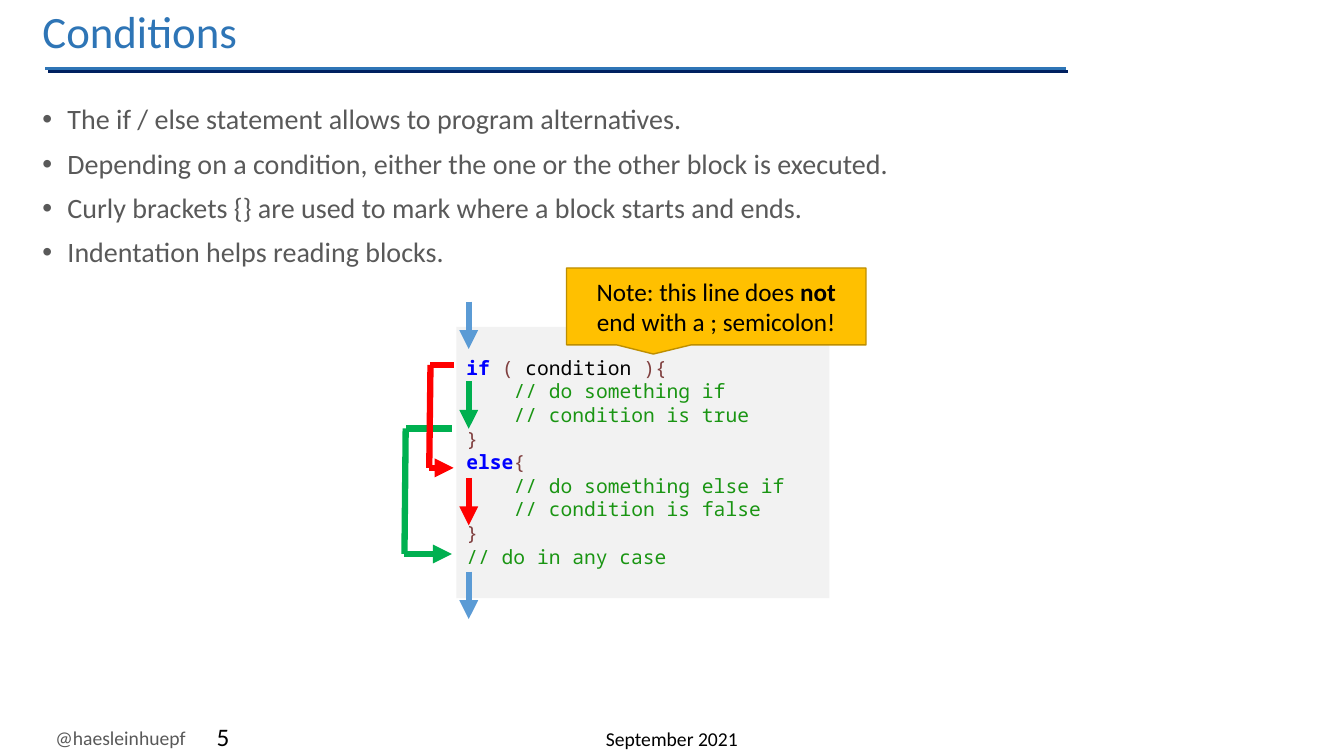
import dataclasses
import typing

import lxml.etree
import pptx
import pptx.dml.color
import pptx.enum.shapes
import pptx.enum.text
import pptx.oxml.ns
import pptx.util

COLUMNS, ROWS = 160, 90
GREY, BLACK, TITLE_BLUE, NAVY = "595959", "000000", "2E75B6", "002060"
FLOW_BLUE, TRUE_GREEN, FALSE_RED = "5B9BD5", "00B050", "FF0000"
KEYWORD, BRACKET, COMMENT = "0000FF", "804040", "1A9513"
BODY_FONT, CODE_FONT = "Calibri", "Noto Sans Mono"
ALIGN = pptx.enum.text.PP_ALIGN
ANCHOR = pptx.enum.text.MSO_ANCHOR
SHAPE = pptx.enum.shapes.MSO_SHAPE

presentation = pptx.Presentation()
presentation.slide_width = pptx.util.Inches(13.33)
presentation.slide_height = pptx.util.Inches(7.5)
slide = presentation.slides.add_slide(presentation.slide_layouts[5])


@dataclasses.dataclass(frozen=True)
class Area:
    column: float
    row: float
    columns: float
    rows: float


@dataclasses.dataclass(frozen=True)
class Words:
    text: str
    color: str = BLACK
    bold: bool = False


@dataclasses.dataclass(frozen=True)
class Footer:
    area: Area
    words: Words
    size: float
    align: typing.Any = ALIGN.LEFT


@dataclasses.dataclass(frozen=True)
class Stroke:
    start: tuple[float, float]
    end: tuple[float, float]
    color: str
    arrow: bool = False


@dataclasses.dataclass(frozen=True)
class Jump:
    color: str
    left: float
    right: float
    top: float
    bottom: float


def across(columns: float) -> int:
    return round(presentation.slide_width * columns / COLUMNS)


def down(rows: float) -> int:
    return round(presentation.slide_height * rows / ROWS)


def place(area: Area) -> tuple[int, int, int, int]:
    return across(area.column), down(area.row), across(area.columns), down(area.rows)


def rgb(color: str) -> pptx.dml.color.RGBColor:
    return pptx.dml.color.RGBColor.from_string(color)


def add_element(parent: typing.Any, tag: str, **attributes: str) -> typing.Any:
    return lxml.etree.SubElement(parent, pptx.oxml.ns.qn(tag), attributes)


def write(paragraph: typing.Any, line: typing.Iterable[Words], size: float, font: str = BODY_FONT) -> None:
    for words in line:
        run = paragraph.add_run()
        run.text = words.text
        run.font.name = font
        run.font.size = pptx.util.Pt(size)
        run.font.bold = words.bold
        run.font.color.rgb = rgb(words.color)


def add_text_area(area: Area) -> typing.Any:
    frame = slide.shapes.add_textbox(*place(area)).text_frame
    frame.word_wrap = True
    return frame


def add_panel(preset: typing.Any, area: Area, fill: str, border: str | None = None) -> typing.Any:
    panel = slide.shapes.add_shape(preset, *place(area))
    panel.shadow.inherit = False
    panel.fill.solid()
    panel.fill.fore_color.rgb = rgb(fill)
    if border:
        panel.line.color.rgb = rgb(border)
        panel.line.width = pptx.util.Pt(1)
    else:
        panel.line.fill.background()
    panel.text_frame.word_wrap = True
    return panel


def add_stroke(stroke: Stroke, width: float = 4.5) -> typing.Any:
    connector = slide.shapes.add_connector(
        pptx.enum.shapes.MSO_CONNECTOR.STRAIGHT,
        across(stroke.start[0]), down(stroke.start[1]),
        across(stroke.end[0]), down(stroke.end[1]),
    )
    connector.line.color.rgb = rgb(stroke.color)
    connector.line.width = pptx.util.Pt(width)
    properties = connector.element.spPr
    if stroke.arrow:
        add_element(properties.find(pptx.oxml.ns.qn("a:ln")), "a:tailEnd", type="triangle")
    return add_element(properties, "a:effectLst")


def add_jump(jump: Jump) -> None:
    upper_left, lower_left = (jump.left + 0.15, jump.top), (jump.left, jump.bottom)
    add_stroke(Stroke((jump.right, jump.top), upper_left, jump.color))
    add_stroke(Stroke(lower_left, upper_left, jump.color))
    add_stroke(Stroke(lower_left, (jump.right, jump.bottom), jump.color, True))


FOOTERS = [
    Footer(Area(5.4, 85.8, 19.8, 4.1), Words("@haesleinhuepf", GREY), 14),
    Footer(Area(24.6, 85.3, 28.9, 4.8), Words("5"), 18),
    Footer(Area(0, 86, 160, 4.1), Words("September 2021"), 14, ALIGN.CENTER),
]
STATEMENTS = [
    "The if / else statement allows to program alternatives.",
    "Depending on a condition, either the one or the other block is executed.",
    "Curly brackets {} are used to mark where a block starts and ends.",
    "Indentation helps reading blocks.",
]
CODE = [
    [Words("if ", KEYWORD, True), Words("(", BRACKET), Words(" condition "), Words("){", BRACKET)],
    [Words("    "), Words("// do something if", COMMENT)],
    [Words("    "), Words("// condition is true", COMMENT)],
    [Words("}", BRACKET)],
    [Words("else", KEYWORD, True), Words("{", BRACKET)],
    [Words("    "), Words("// do something else if", COMMENT)],
    [Words("    "), Words("// condition is false", COMMENT)],
    [Words("}", BRACKET)],
    [Words("// do in any case", COMMENT)],
]
NOTE = [Words("Note: this line does "), Words("not", bold=True), Words(" end with a ; semicolon!")]
FLOW_COLUMN, FLOW_ROWS = 55.8, 5.65
FLOW = [(35.9, FLOW_BLUE), (45.4, TRUE_GREEN), (68.05, FLOW_BLUE), (56.9, FALSE_RED)]
JUMPS = [Jump(TRUE_GREEN, 48.15, 53.8, 51, 65.95), Jump(FALSE_RED, 51.1, 54, 43.45, 55.7)]

for footer in FOOTERS:
    footer_line = add_text_area(footer.area).paragraphs[0]
    footer_line.alignment = footer.align
    write(footer_line, [footer.words], footer.size)

rule_effects = add_stroke(Stroke((5.4, 8.15), (126.85, 8.15), TITLE_BLUE), 2.25)
rule_shadow = add_element(rule_effects, "a:outerShdw", dist="38100", dir="2700000", algn="tl", rotWithShape="0")
add_element(rule_shadow, "a:srgbClr", val=NAVY)

title = slide.shapes.title
title.left, title.top, title.width, title.height = place(Area(3.85, 0, 124.45, 8.15))
title.text_frame.vertical_anchor = ANCHOR.MIDDLE
title.text_frame.auto_size = pptx.enum.text.MSO_AUTO_SIZE.NONE
heading = title.text_frame.paragraphs[0]
heading.alignment = ALIGN.LEFT
heading.line_spacing = 0.9
write(heading, [Words("Conditions", TITLE_BLUE)], 32)

explanation = add_text_area(Area(3.85, 12, 145.1, 24.5))
for index, statement in enumerate(STATEMENTS):
    bullet = explanation.add_paragraph() if index else explanation.paragraphs[0]
    bullet_properties = bullet._p.get_or_add_pPr()
    bullet_properties.set("marL", str(across(3)))
    bullet_properties.set("indent", str(-across(3)))
    add_element(bullet_properties, "a:buFont", typeface="Arial")
    add_element(bullet_properties, "a:buChar", char="•")
    bullet.line_spacing = 0.9
    bullet.space_before = pptx.util.Pt(10 if index else 0)
    write(bullet, [Words(statement, GREY)], 20)

listing = add_panel(SHAPE.RECTANGLE, Area(54.35, 38.9, 44.4, 32.3), "F2F2F2").text_frame
listing.vertical_anchor = ANCHOR.TOP
listing.margin_top = down(3.4)
for index, code_line in enumerate(CODE):
    code_row = listing.add_paragraph() if index else listing.paragraphs[0]
    code_row.alignment = ALIGN.LEFT
    code_row.line_spacing = pptx.util.Pt(16.9)
    write(code_row, code_line, 14, CODE_FONT)

for row, color in FLOW:
    add_stroke(Stroke((FLOW_COLUMN, row), (FLOW_COLUMN, row + FLOW_ROWS), color, True))
for jump in JUMPS:
    add_jump(jump)

callout = add_panel(SHAPE.RECTANGULAR_CALLOUT, Area(67.45, 31.9, 35.65, 9.15), "FFC000", "BD8E00")
callout.adjustments[0], callout.adjustments[1] = -0.21, 0.62
callout.text_frame.vertical_anchor = ANCHOR.MIDDLE
note_line = callout.text_frame.paragraphs[0]
note_line.alignment = ALIGN.CENTER
write(note_line, NOTE, 18)

presentation.save("out.pptx")
